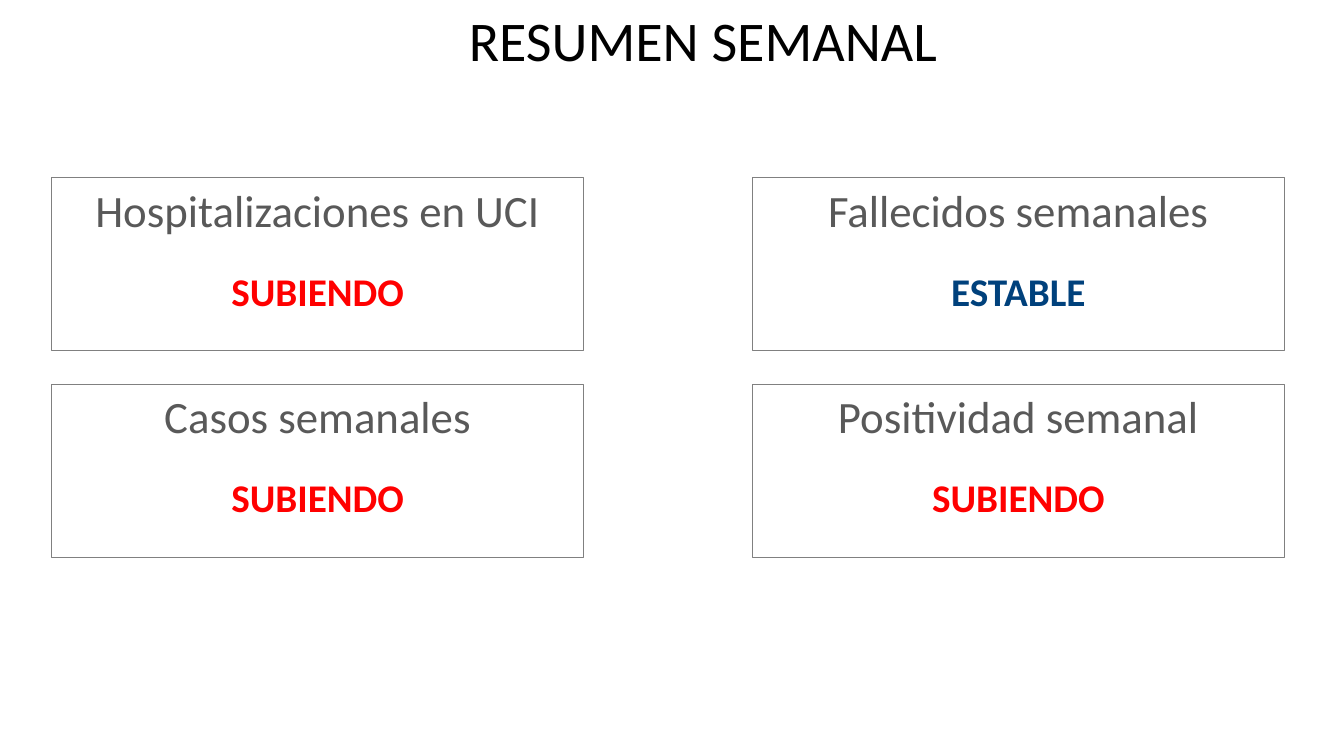
"""Build the weekly summary slide with four indicator boxes."""
from pptx import Presentation
from pptx.dml.color import RGBColor
from pptx.enum.shapes import MSO_SHAPE
from pptx.enum.text import MSO_ANCHOR, MSO_AUTO_SIZE, PP_ALIGN
from pptx.util import Inches, Pt


def color(hex_value):
    return RGBColor.from_string(hex_value)


def write(paragraph, text, alignment, hex_value, font_format):
    paragraph.text = text
    paragraph.alignment = alignment
    font = paragraph.runs[0].font
    font.color.rgb = color(hex_value)
    for name, value in font_format.items():
        setattr(font, name, value)


TITLE = {"name": "Calibri", "size": Pt(40), "bold": False}
INDICATOR = {"name": "Calibri", "size": Pt(32), "bold": False}
TREND = {"name": "Calibri", "size": Pt(28), "bold": True}
FRAME = {"word_wrap": True, "auto_size": MSO_AUTO_SIZE.NONE, "vertical_anchor": MSO_ANCHOR.TOP}
RISING = ("SUBIENDO", "FF0000")
STABLE = ("ESTABLE", "00417C")
INDICATORS = [
    ("Hospitalizaciones en UCI", RISING),
    ("Fallecidos semanales", STABLE),
    ("Casos semanales", RISING),
    ("Positividad semanal", RISING),
]

presentation = Presentation()
presentation.slide_width = Inches(13.33)
presentation.slide_height = Inches(7.5)
slide = presentation.slides.add_slide(presentation.slide_layouts[5])

title = slide.shapes.title
title_box = {"left": 4.55, "top": 0, "width": 4.89, "height": 0.77}
for name, value in title_box.items():
    setattr(title, name, Inches(value))
for name, value in FRAME.items():
    setattr(title.text_frame, name, value)
title.text_frame.word_wrap = False
write(title.text_frame.paragraphs[0], "RESUMEN SEMANAL", PP_ALIGN.LEFT, "000000", TITLE)

for index, (indicator, (trend, trend_color)) in enumerate(INDICATORS):
    row, column = divmod(index, 2)
    shape = slide.shapes.add_shape(
        MSO_SHAPE.RECTANGLE,
        Inches(0.51 + 6.95 * column), Inches(1.76 + 2.05 * row),
        Inches(5.28), Inches(1.72),
    )
    shape.shadow.inherit = False
    shape.fill.background()
    shape.line.color.rgb = color("808080")
    shape.line.width = Pt(0.75)
    frame = shape.text_frame
    for name, value in FRAME.items():
        setattr(frame, name, value)
    write(frame.paragraphs[0], indicator, PP_ALIGN.CENTER, "595959", INDICATOR)
    trend_paragraph = frame.add_paragraph()
    trend_paragraph.space_before = Pt(22)
    write(trend_paragraph, trend, PP_ALIGN.CENTER, trend_color, TREND)

presentation.save("out.pptx")
